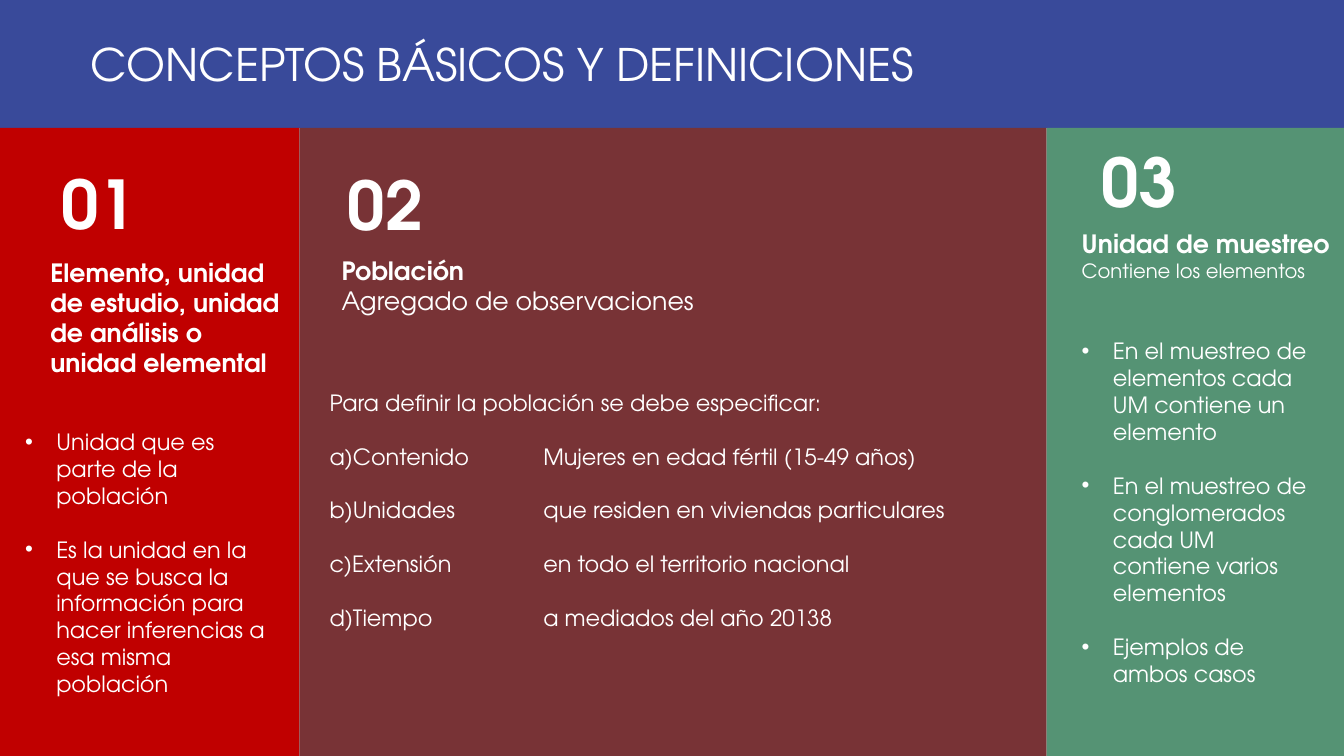
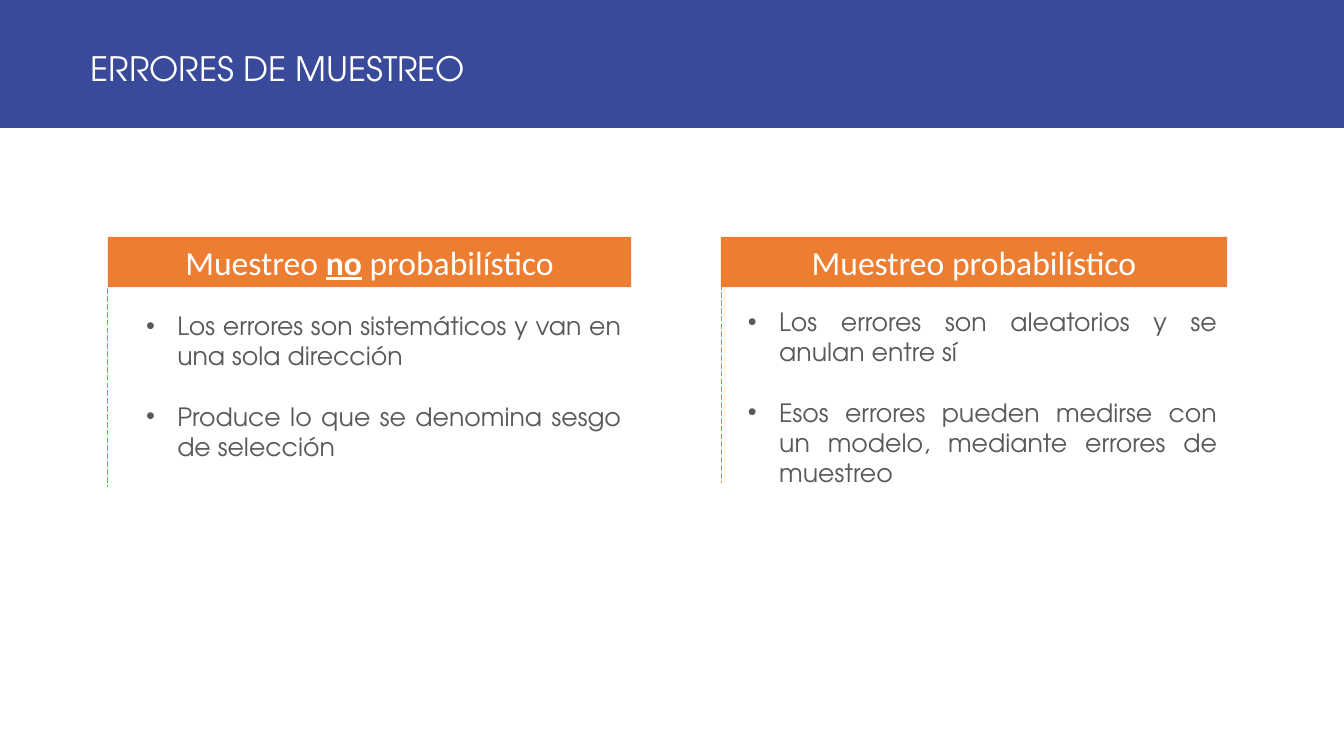
"""Build two slides on sampling concepts and sampling errors."""
import dataclasses
import typing

import pptx
import pptx.dml.color
import pptx.enum.dml
import pptx.enum.shapes
import pptx.enum.text
import pptx.oxml.ns
import pptx.util
from lxml import etree

Inches = pptx.util.Inches
Pt = pptx.util.Pt
Align = pptx.enum.text.PP_ALIGN
Anchor = pptx.enum.text.MSO_ANCHOR

HEX = {
    "white": "FFFFFF",
    "blue": "394A9A",
    "red": "C00000",
    "brown": "783336",
    "green": "559374",
    "orange": "ED7D31",
    "gray": "595959",
}
FONT = "TeX Gyre Adventor"
WIDE, HIGH, BAND = 13.33, 7.5, 1.27
HANG = 0.31
TAB = 2.12
Box = tuple[float, float, float, float]


@dataclasses.dataclass
class Run:
    text: str
    bold: bool = False
    size: float = 0
    under: bool = False


Line = list[Run]


@dataclasses.dataclass
class Panel:
    left: float
    width: float
    color: str
    num: str
    spot: tuple[float, float]
    head: list[Line]
    area: Box
    body: list[str]
    place: Box
    dots: bool = True


@dataclasses.dataclass
class Card:
    left: float
    width: float
    head: Line
    body: list[str]
    place: Box
    rule: float


PANELS = [
    Panel(0, 2.97, "red", "01", (0.5, 1.56),
          [[Run("Elemento, unidad de estudio, unidad de análisis o unidad elemental", True)]],
          (0.4, 2.5, 2.49, 1.31),
          ["Unidad que es parte de la población",
           "Es la unidad en la que se busca la información para hacer "
           "inferencias a esa misma población"],
          (0.15, 4.2, 2.61, 2.79)),
    Panel(2.97, 7.41, "brown", "02", (3.34, 1.57),
          [[Run("Población", True)], [Run("Agregado de observaciones")]],
          (3.29, 2.48, 4.36, 0.71),
          ["Para definir la población se debe especificar:",
           "a)Contenido\tMujeres en edad fértil (15-49 años)",
           "b)Unidades\tque residen en viviendas particulares",
           "c)Extensión\ten todo el territorio nacional",
           "d)Tiempo\ta mediados del año 20138"],
          (3.17, 3.81, 7.34, 2.52), False),
    Panel(10.38, 2.95, "green", "03", (10.82, 1.34),
          [[Run("Unidad de muestreo", True)], [Run("Contiene los elementos", size=14)]],
          (10.63, 2.22, 2.7, 0.64),
          ["En el muestreo de elementos cada UM contiene un elemento",
           "En el muestreo de conglomerados cada UM contiene varios elementos",
           "Ejemplos de ambos casos"],
          (10.63, 3.3, 2.52, 3.87)),
]

CARDS = [
    Card(1.07, 5.19,
         [Run("Muestreo "), Run("no", True, under=True), Run(" probabilístico")],
         ["Los errores son sistemáticos y van en una sola dirección",
          "Produce lo que se denomina sesgo de selección"],
         (1.35, 3.03, 4.91, 1.62), 2.86),
    Card(7.15, 5.02, [Run("Muestreo probabilístico")],
         ["Los errores son aleatorios y se anulan entre sí",
          "Esos errores pueden medirse con un modelo, mediante errores de muestreo"],
         (7.32, 2.99, 4.85, 1.92), 2.82),
]


def tint(name: str) -> pptx.dml.color.RGBColor:
    return pptx.dml.color.RGBColor.from_string(HEX[name])


def add(node: typing.Any, tag: str, **attrs: str) -> typing.Any:
    return etree.SubElement(node, pptx.oxml.ns.qn(tag), attrs)


def write(frame: typing.Any, lines: list[Line], *, size: float, color: str = "white",
          font: str = FONT, align: Align = Align.LEFT, gap: float = 0,
          dots: bool = False, tab: float = 0) -> None:
    for i, line in enumerate(lines):
        para = frame.paragraphs[0] if i == 0 else frame.add_paragraph()
        props = para._p.get_or_add_pPr()
        if dots:
            props.set("marL", str(Inches(HANG)))
            props.set("indent", str(-Inches(HANG)))
            add(props, "a:buFont", typeface="Arial")
            add(props, "a:buChar", char="•")
        if tab:
            stops = add(props, "a:tabLst")
            add(stops, "a:tab", pos=str(Inches(tab)), algn="l")
        para.alignment = align
        if i and gap:
            para.space_before = Pt(gap)
        for part in line:
            run = para.add_run()
            run.text = part.text
            run.font.name = font
            run.font.size = Pt(part.size or size)
            run.font.bold = part.bold
            run.font.underline = part.under
            run.font.color.rgb = tint(color)


def block(slide: typing.Any, box: Box, color: str) -> typing.Any:
    shape = slide.shapes.add_shape(
        pptx.enum.shapes.MSO_SHAPE.RECTANGLE, *map(Inches, box))
    shape.shadow.inherit = False
    shape.fill.solid()
    shape.fill.fore_color.rgb = tint(color)
    shape.line.fill.background()
    return shape


def label(slide: typing.Any, box: Box, lines: list[Line], wrap: bool = True,
          **form: typing.Any) -> None:
    frame = slide.shapes.add_textbox(*map(Inches, box)).text_frame
    frame.word_wrap = wrap
    write(frame, lines, **form)


def plain(texts: list[str]) -> list[Line]:
    return [[Run(text)] for text in texts]


def start(deck: typing.Any, text: str, size: float) -> typing.Any:
    slide = deck.slides.add_slide(deck.slide_layouts[5])
    title = slide.shapes.title
    title.left, title.top = Inches(0), Inches(0)
    title.width, title.height = Inches(WIDE), Inches(BAND)
    title.fill.solid()
    title.fill.fore_color.rgb = tint("blue")
    frame = title.text_frame
    frame.auto_size = pptx.enum.text.MSO_AUTO_SIZE.NONE
    frame.vertical_anchor = Anchor.MIDDLE
    frame.margin_left = Inches(0.9)
    frame.margin_top = Inches(0.05 + (32 - size) * 0.01)
    write(frame, plain([text]), size=size)
    return slide


def panel(slide: typing.Any, item: Panel) -> None:
    block(slide, (item.left, BAND, item.width, HIGH - BAND), item.color)
    label(slide, (*item.spot, 0.96, 0.91), [[Run(item.num, True)]], wrap=False,
          size=48, align=Align.CENTER)
    label(slide, item.area, item.head, size=18)
    label(slide, item.place, plain(item.body), size=16, gap=19.2,
          dots=item.dots, tab=0 if item.dots else TAB)


def card(slide: typing.Any, item: Card) -> None:
    head = block(slide, (item.left, 2.35, item.width, 0.5), "orange")
    head.text_frame.vertical_anchor = Anchor.TOP
    write(head.text_frame, [item.head], size=24, font="Calibri", align=Align.CENTER)
    label(slide, item.place, plain(item.body), size=18, color="gray",
          align=Align.JUSTIFY, gap=21.6, dots=True)
    ends = (item.left, item.rule, item.left, item.rule + 1.97)
    rule = slide.shapes.add_connector(
        pptx.enum.shapes.MSO_CONNECTOR.STRAIGHT, *map(Inches, ends))
    rule.line.color.rgb = tint("orange")
    rule.line.width = Pt(0.5)
    rule.line.dash_style = pptx.enum.dml.MSO_LINE.LONG_DASH
    add(rule._element.spPr, "a:effectLst")


def main() -> None:
    deck = pptx.Presentation()
    deck.slide_width, deck.slide_height = Inches(WIDE), Inches(HIGH)
    basics = start(deck, "CONCEPTOS BÁSICOS Y DEFINICIONES", 32)
    for item in PANELS:
        panel(basics, item)
    errors = start(deck, "ERRORES DE MUESTREO", 24)
    for item in CARDS:
        card(errors, item)
    deck.save("out.pptx")


if __name__ == "__main__":
    main()
